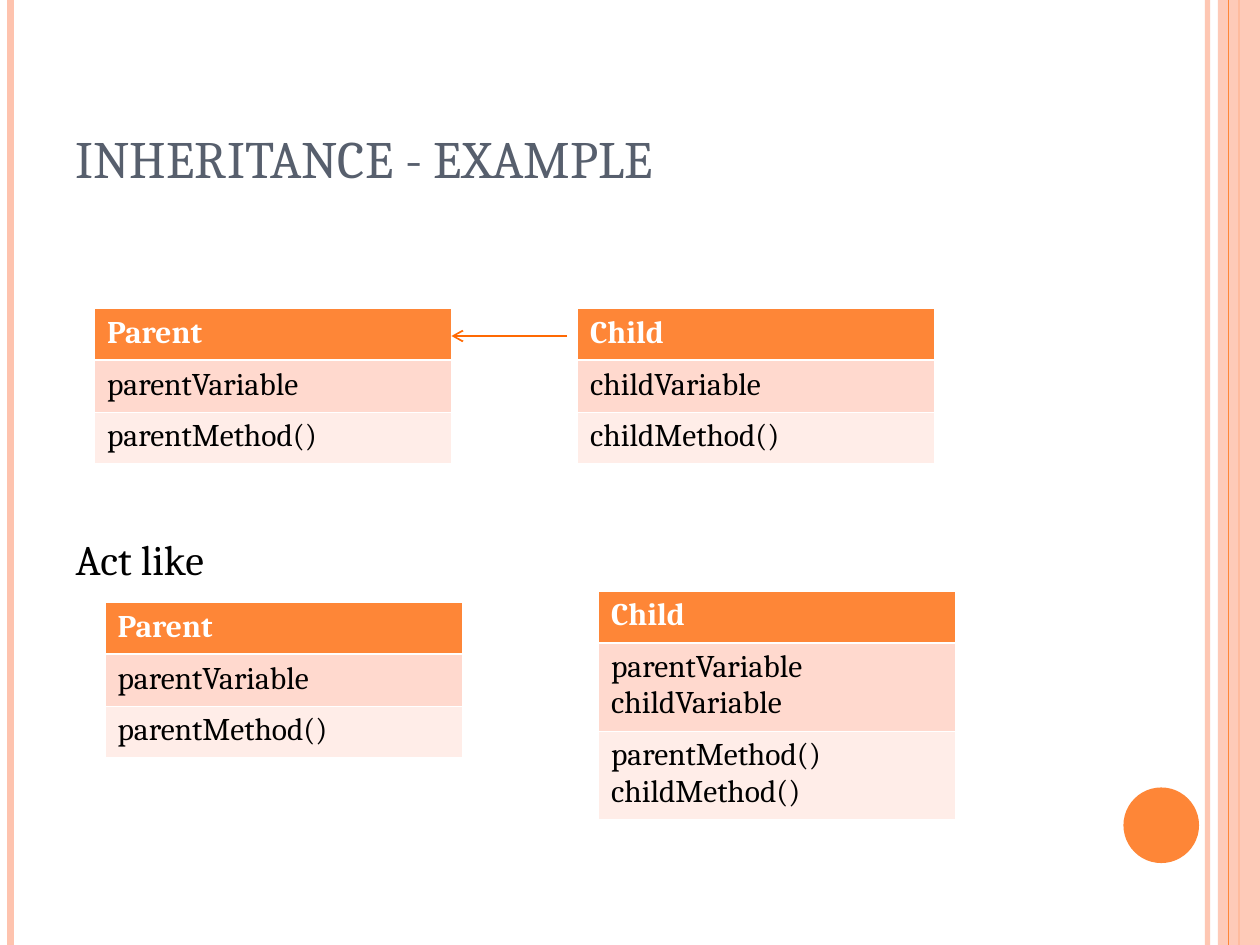
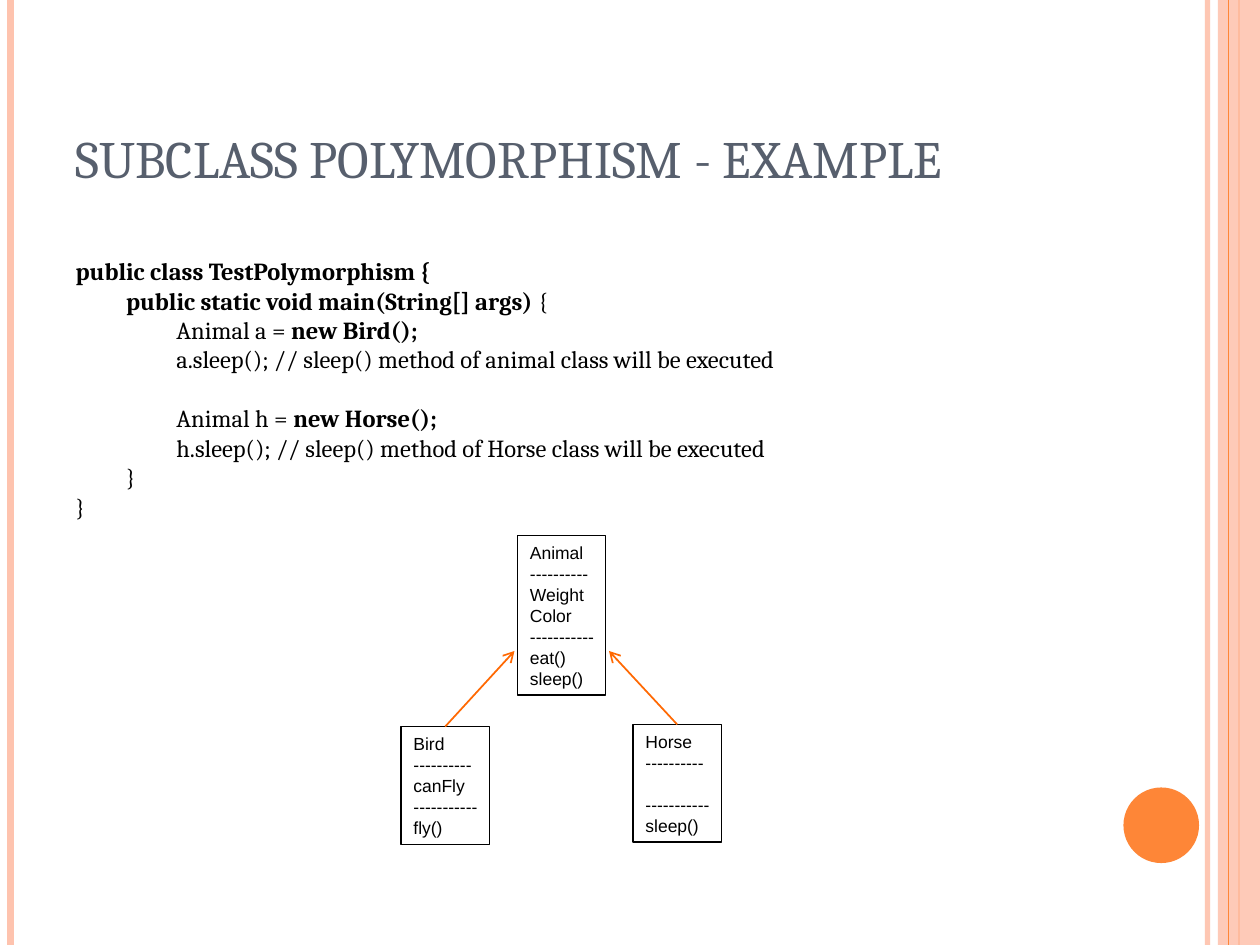
"""Build two slides on inheritance and subclass polymorphism."""
from dataclasses import dataclass

from pptx import Presentation
from pptx.dml.color import RGBColor
from pptx.enum.shapes import MSO_CONNECTOR as Line, MSO_SHAPE as Shape
from pptx.enum.text import MSO_ANCHOR as Anchor, MSO_AUTO_SIZE as Fit, PP_ALIGN as Align
from pptx.oxml.ns import qn
from pptx.oxml.xmlchemy import OxmlElement
from pptx.util import Inches, Pt


@dataclass(frozen=True)
class Theme:
    """Colours, fonts and type sizes of the deck."""
    accent: str = "FE8637"
    pale: str = "FEC3AE"
    arrow: str = "FF6903"
    title: str = "575F6D"
    ink: str = "000000"
    white: str = "FFFFFF"
    rows: tuple = ("FE8637", "FFD9CE", "FFEDE8")
    serif: str = "Cambria"
    sans: str = "Arial"
    title_pt: int = 30
    body_pt: int = 24
    table_pt: int = 18
    code_pt: int = 14
    uml_pt: int = 10


T = Theme()
COLS, ROWS = 120, 90
TABLE_COLS = 34


def grid(*cells):
    """Turn grid units of a twelfth of an inch into lengths."""
    return [Inches(c / 12) for c in cells]


def rgb(code):
    """Return the colour of a hex code."""
    return RGBColor.from_string(code)


def child(parent, tag, **attrs):
    """Append an XML element with attributes."""
    el = OxmlElement(tag)
    for name, value in attrs.items():
        el.set(name, str(value))
    parent.append(el)
    return el


def style(p, size, color=T.ink, font=T.serif, bold=None):
    """Format all runs of a paragraph."""
    for r in p.runs:
        r.font.size, r.font.name = Pt(size), font
        r.font.color.rgb = rgb(color)
        if bold is not None:
            r.font.bold = bold


def set_alpha(fill_owner, percent):
    """Make the solid fill inside an element partly transparent."""
    color = next(fill_owner.iter(qn("a:srgbClr")))
    child(color, "a:alpha", val=percent * 1000)


def add_line(shapes, start, end, color, width, arrow=False):
    """Draw a straight line, with an optional arrowhead at its end."""
    cx = shapes.add_connector(Line.STRAIGHT, *grid(*start, *end))
    cx.line.color.rgb, cx.line.width = rgb(color), Pt(width)
    if arrow:
        child(cx.line._get_or_add_ln(), "a:tailEnd", type="arrow")
    child(cx.element.spPr, "a:effectLst")
    return cx


def add_block(shapes, kind, box, fill):
    """Draw a filled shape without an outline."""
    sp = shapes.add_shape(kind, *grid(*box))
    sp.shadow.inherit = False
    sp.fill.solid()
    sp.fill.fore_color.rgb = rgb(fill)
    sp.line.fill.background()
    return sp


def decorate_layout(s):
    """Draw the side bands and disc and move them to the slide's layout."""
    def band(x, color, width):
        return add_line(s.shapes, (x, 0), (x, ROWS), color, width)

    inner = band(115, T.pale, 3)
    set_alpha(inner.element.spPr, 93)
    left = band(1, T.pale, 4.5)
    right = band(118, T.accent, 1.5)
    strip = add_block(s.shapes, Shape.RECTANGLE, (116, 0, COLS - 116, ROWS), T.pale)
    set_alpha(strip.element.spPr, 87)
    thin = band(117, T.accent, 0.75)
    disc = add_block(s.shapes, Shape.OVAL, (107, 75, 7.2, 7.2), T.accent)
    for i, sp in enumerate((inner, left, right, strip, thin, disc)):
        next(sp.element.iter(qn("p:cNvPr"))).set("id", str(20 + i))
        s.slide_layout.shapes.element.append(sp.element)


def place(sp, box):
    """Move a placeholder to a grid box."""
    sp.left, sp.top, sp.width, sp.height = grid(*box)


def add_titled_slide(prs, title):
    """Add a slide with its formatted title."""
    s = prs.slides.add_slide(prs.slide_layouts[1])
    place(s.shapes.title, (6, 3.6, 98, 15))
    tf = s.shapes.title.text_frame
    tf.text = title
    tf.vertical_anchor, tf.auto_size = Anchor.BOTTOM, Fit.NONE
    p = tf.paragraphs[0]
    p.alignment = Align.LEFT
    style(p, T.title_pt, T.title)
    return s


def fill_body(s, top, lines, size):
    """Fill the body with (level, space before, (text, bold) runs) lines."""
    body = s.placeholders[1]
    place(body, (6, top, 98, 85 - top))
    tf = body.text_frame
    tf.auto_size = Fit.NONE
    for i, (level, gap, runs) in enumerate(lines):
        p = tf.add_paragraph() if i else tf.paragraphs[0]
        p.level = level
        pPr = p._p.get_or_add_pPr()
        pPr.set("marL", str(Inches(0.4 * level)))
        pPr.set("indent", "0")
        p.space_before = Pt(gap)
        child(pPr, "a:buNone")
        for text, bold in runs:
            r = p.add_run()
            r.text, r.font.bold = text, bold
        style(p, size)


def set_borders(cell, top, bottom):
    """Give a cell white borders, ahead of its fill."""
    tcPr = cell._tc.get_or_add_tcPr()
    for side, width in (("L", 0.45), ("R", 0.45), ("T", top), ("B", bottom)):
        ln = child(tcPr, f"a:ln{side}", w=Pt(width))
        child(child(ln, "a:solidFill"), "a:srgbClr", val=T.white)


def add_class_table(s, left, top, texts):
    """Add a class table of name, variables and methods."""
    heights = [Inches(0.12 + 0.29 * len(t.split("\n"))) for t in texts]
    x, y, width = grid(left, top, TABLE_COLS)
    table = s.shapes.add_table(len(texts), 1, x, y, width, sum(heights)).table
    table.horz_banding = False
    for i, (text, height) in enumerate(zip(texts, heights)):
        table.rows[i].height = height
        cell = table.cell(i, 0)
        set_borders(cell, 1.47 if i == 1 else 0.45, 0.45 if i else 1.47)
        cell.fill.solid()
        cell.fill.fore_color.rgb = rgb(T.rows[i])
        cell.text_frame.text = text
        for p in cell.text_frame.paragraphs:
            style(p, T.table_pt, T.ink if i else T.white, bold=i == 0)


def add_uml_box(shapes, left, top, lines, empty_before=None):
    """Add an outlined class box, with one empty row before a given line."""
    rows = len(lines) + (empty_before is not None)
    sp = shapes.add_shape(Shape.RECTANGLE, *grid(left, top, 8.4, 1.2 + 2 * rows))
    sp.shadow.inherit = False
    sp.fill.background()
    sp.line.color.rgb, sp.line.width = rgb(T.ink), Pt(0.75)
    tf = sp.text_frame
    tf.word_wrap, tf.vertical_anchor = False, Anchor.TOP
    tf.text = "\n".join(lines)
    for i, p in enumerate(tf.paragraphs):
        p.alignment = Align.LEFT
        if i == empty_before:
            p.space_before = Pt(12)
        style(p, T.uml_pt, font=T.sans)


def build_inheritance(prs):
    """Build the slide that compares inherited and expanded classes."""
    s = add_titled_slide(prs, "INHERITANCE - EXAMPLE")
    decorate_layout(s)
    fill_body(s, 50.2, [(0, 0, [("Act like", False)])], T.body_pt)
    parent = ("Parent", "parentVariable", "parentMethod()")
    add_class_table(s, 9, 29.4, parent)
    add_class_table(s, 55, 29.4, ("Child", "childVariable", "childMethod()"))
    add_line(s.shapes, (54, 32), (9 + TABLE_COLS, 32), T.arrow, 1, arrow=True)
    add_class_table(s, 10, 57.4, parent)
    add_class_table(s, 57, 56.3, ("Child", "parentVariable\nchildVariable",
                                  "parentMethod()\nchildMethod()"))


def build_polymorphism(prs):
    """Build the slide with the code and its class diagram."""
    s = add_titled_slide(prs, "SUBCLASS POLYMORPHISM - EXAMPLE")
    fill_body(s, 23.8, [
        (0, 0, [("public class TestPolymorphism {", True)]),
        (1, 0, [("public static void main(String[] args) ", True), ("{", False)]),
        (2, 0, [("Animal a = ", False), ("new Bird();", True)]),
        (2, 0, [("a.sleep(); // sleep() method of animal class will be executed", False)]),
        (2, 16.8, [("Animal h = ", False), ("new Horse();", True)]),
        (2, 0, [("h.sleep(); // sleep() method of Horse class will be executed", False)]),
        (1, 0, [("}", False)]),
        (0, 0, [("}", False)]),
    ], T.code_pt)
    short, full = "-" * 10, "-" * 11
    diagram = s.shapes.add_group_shape().shapes
    add_uml_box(diagram, 49.3, 51,
                ("Animal", short, "Weight", "Color", full, "eat()", "sleep()"))
    add_uml_box(diagram, 38.2, 69.2, ("Bird", short, "canFly", full, "fly()"))
    add_uml_box(diagram, 60.3, 69, ("Horse", short, full, "sleep()"), empty_before=2)
    add_line(diagram, (42.4, 69.2), (49, 62), T.arrow, 1, arrow=True)
    add_line(diagram, (64.5, 69), (58, 62), T.arrow, 1, arrow=True)


def main():
    """Build and save the deck."""
    prs = Presentation()
    prs.slide_width, prs.slide_height = grid(COLS, ROWS)
    build_inheritance(prs)
    build_polymorphism(prs)
    prs.save("out.pptx")


if __name__ == "__main__":
    main()
